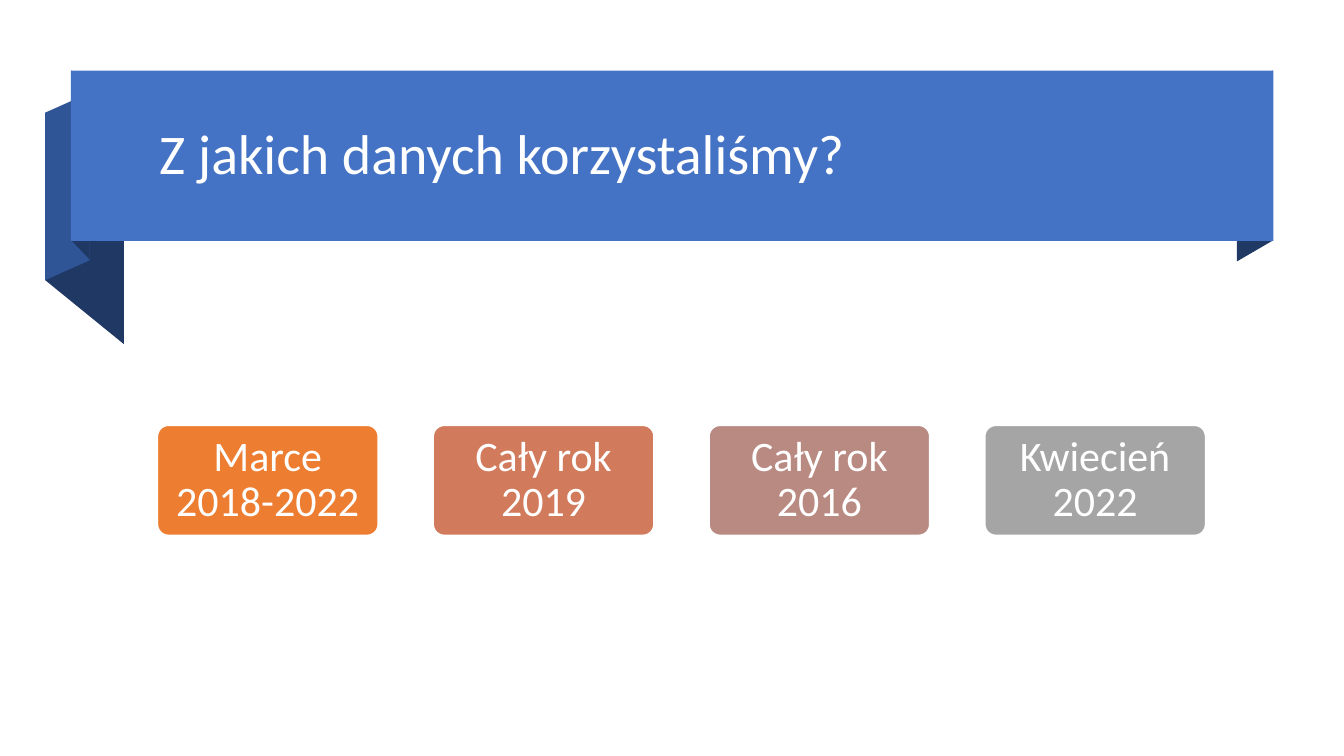
from pptx import Presentation
from pptx.dml.color import RGBColor
from pptx.enum.shapes import MSO_SHAPE as SHAPE
from pptx.enum.text import MSO_ANCHOR as ANCHOR, PP_ALIGN as ALIGN
from pptx.util import Cm, Pt

COLORS = {
    "white": "FFFFFF",
    "blue": "4472C4",
    "mid_blue": "2F5597",
    "navy": "203864",
    "orange": "ED7D31",
    "terracotta": "D17B5C",
    "rose": "B98A82",
    "gray": "A5A5A5",
}


def color(name):
    return RGBColor.from_string(COLORS[name])


def paint(sp, fill, line=None):
    sp.shadow.inherit = False
    sp.fill.solid()
    sp.fill.fore_color.rgb = color(fill)
    if line:
        sp.line.color.rgb = color(line)
        sp.line.width = Pt(1)
    else:
        sp.line.fill.background()


def write(sp, text, size, align=ALIGN.LEFT, inset_x=0.25, inset_y=0.13):
    tf = sp.text_frame
    tf.word_wrap = True
    tf.vertical_anchor = ANCHOR.MIDDLE
    tf.margin_left = tf.margin_right = Cm(inset_x)
    tf.margin_top = tf.margin_bottom = Cm(inset_y)
    p = tf.paragraphs[0]
    p.alignment = align
    p.line_spacing = 0.9
    r = p.add_run()
    r.text = text
    r.font.name = "Calibri"
    r.font.size = Pt(size)
    r.font.color.rgb = color("white")


def add_fold(slide, left, left_top, right, right_top, height, fill):
    """Ribbon fold: a parallelogram with two vertical sides."""
    fb = slide.shapes.build_freeform(Cm(left), Cm(left_top))
    fb.add_line_segments([
        (Cm(right), Cm(right_top)),
        (Cm(right), Cm(right_top + height)),
        (Cm(left), Cm(left_top + height)),
    ], close=True)
    paint(fb.convert_to_shape(), fill)


def add_banner(slide, title):
    # Folds behind the band
    add_fold(slide, 31.17, 2.31, 32.08, 1.78, 4.28, "navy")
    add_fold(slide, 1.14, 2.84, 3.12, 4.45, 4.22, "navy")
    add_fold(slide, 1.14, 2.84, 2.26, 2.34, 4.22, "mid_blue")
    add_fold(slide, 1.8, 1.78, 2.26, 2.26, 4.28, "navy")

    # Band and title
    band = slide.shapes.add_shape(SHAPE.RECTANGLE, Cm(1.79), Cm(1.78), Cm(30.3), Cm(4.29))
    paint(band, "blue")
    box = slide.shapes.add_textbox(Cm(3.76), Cm(2.11), Cm(27.79), Cm(3.68))
    write(box, title, 40)


def add_card(slide, left, text, fill):
    sp = slide.shapes.add_shape(SHAPE.ROUNDED_RECTANGLE, Cm(left), Cm(10.72), Cm(5.56), Cm(2.77))
    sp.adjustments[0] = 0.1
    paint(sp, fill, line="white")
    write(sp, text, 30, align=ALIGN.CENTER, inset_x=0.15, inset_y=0.1)


def main():
    prs = Presentation()
    prs.slide_width, prs.slide_height = Cm(33.87), Cm(19.05)
    slide = prs.slides.add_slide(prs.slide_layouts[6])

    add_banner(slide, "Z jakich danych korzystaliśmy?")

    # Row of data periods
    periods = [
        ("Marce 2018-2022", "orange"),
        ("Cały rok 2019", "terracotta"),
        ("Cały rok 2016", "rose"),
        ("Kwiecień 2022", "gray"),
    ]
    for i, (text, fill) in enumerate(periods):
        add_card(slide, 3.97 + i * 6.95, text, fill)

    prs.save("out.pptx")


if __name__ == "__main__":
    main()
